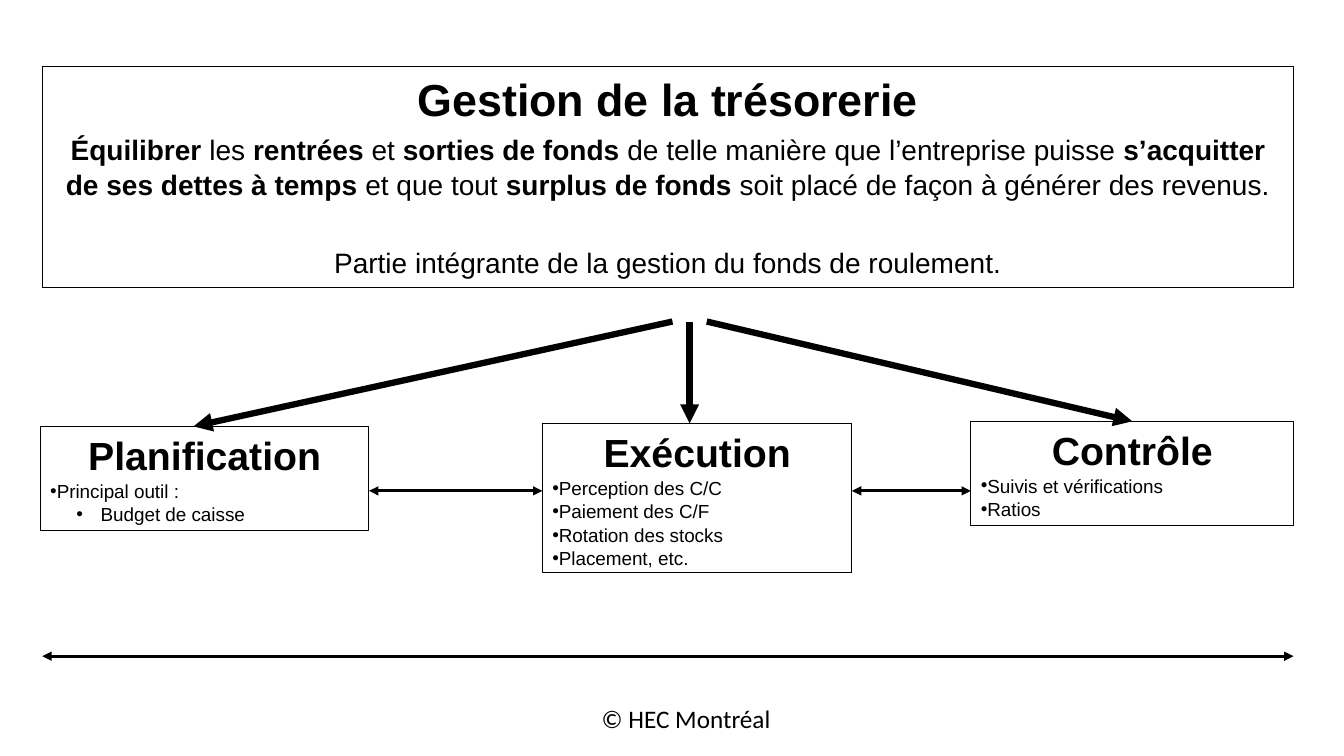
from pptx import Presentation
from pptx.dml.color import RGBColor
from pptx.enum.shapes import MSO_CONNECTOR, MSO_SHAPE
from pptx.enum.text import MSO_ANCHOR, PP_ALIGN
from pptx.oxml.ns import qn
from pptx.util import Inches, Pt
from lxml.etree import SubElement

BLACK = "000000"
LINE_SPACING = 1.04


def color(hex_code):
    return RGBColor.from_string(hex_code)


def set_font(p, size, bold=False, name="Arial"):
    for r in p.runs:
        r.font.name, r.font.size, r.font.bold = name, Pt(size), bold
        r.font.color.rgb = color(BLACK)


def add_bullet(p, level):
    pPr = p._p.get_or_add_pPr()
    if level:
        p.level = level
        pPr.set("marL", str(Inches(0.5)))
        pPr.set("indent", str(Inches(-0.24)))
    SubElement(pPr, qn("a:buFont")).set("typeface", "Arial")
    SubElement(pPr, qn("a:buChar")).set("char", "•")


def framed_box(slide, box, title, title_size):
    """Outlined rectangle with a centred bold heading."""
    s = slide.shapes.add_shape(MSO_SHAPE.RECTANGLE, *map(Inches, box))
    s.shadow.inherit = False
    s.fill.background()
    s.line.color.rgb = color(BLACK)
    s.line.width = Pt(0.75)
    tf = s.text_frame
    tf.word_wrap = True
    tf.vertical_anchor = MSO_ANCHOR.TOP
    p = tf.paragraphs[0]
    p.text = title
    p.alignment = PP_ALIGN.CENTER
    set_font(p, title_size, bold=True)
    return s


def definition_box(slide, box, title, paragraphs):
    """Main box: each paragraph is (space before, [(text, bold), ...])."""
    tf = framed_box(slide, box, title, 32).text_frame
    for space, parts in paragraphs:
        p = tf.add_paragraph()
        p.alignment = PP_ALIGN.CENTER
        p.line_spacing = LINE_SPACING
        p.space_before = Pt(space)
        for text, _ in parts:
            p.add_run().text = text
        set_font(p, 20)
        for r, (_, bold) in zip(p.runs, parts):
            r.font.bold = bold


def step_box(slide, box, title, items):
    """Step of the process: each item is (level, text)."""
    s = framed_box(slide, box, title, 28)
    for level, text in items:
        p = s.text_frame.add_paragraph()
        p.text = text
        p.alignment = PP_ALIGN.LEFT
        p.line_spacing = LINE_SPACING
        add_bullet(p, level)
        set_font(p, 13.5)
    return s


def arrow(slide, start, end, width, both_ends=False):
    c = slide.shapes.add_connector(MSO_CONNECTOR.STRAIGHT, *map(Inches, start + end))
    c.line.color.rgb = color(BLACK)
    c.line.width = Pt(width)
    ln = c.line._get_or_add_ln()
    for tag in ("a:headEnd", "a:tailEnd") if both_ends else ("a:tailEnd",):
        SubElement(ln, qn(tag)).set("type", "triangle")
    SubElement(c._element.spPr, qn("a:effectLst"))
    return c


def copyright_line(slide, box, text):
    tf = slide.shapes.add_textbox(*map(Inches, box)).text_frame
    tf.word_wrap = True
    tf.text = text
    set_font(tf.paragraphs[0], 18, name="Calibri")


def treasury_slide(prs):
    slide = prs.slides.add_slide(prs.slide_layouts[6])

    # Definition at the top
    definition_box(slide, (0.42, 0.66, 12.41, 2.19), "Gestion de la trésorerie", [
        (4, [("Équilibrer ", True), ("les", False), (" rentrées", True),
             (" et ", False), ("sorties de fonds", True),
             (" de telle manière que l’entreprise puisse", False),
             (" s’acquitter de ses dettes à temps", True),
             (" et que tout ", False), ("surplus de fonds", True),
             (" soit placé de façon à générer des revenus.", False)]),
        (31, [("Partie intégrante de la gestion du fonds de roulement.", False)]),
    ])

    # Three steps
    step_box(slide, (0.4, 4.23, 3.26, 1.03), "Planification",
             [(0, "Principal outil :"), (1, "Budget de caisse")])
    step_box(slide, (5.38, 4.2, 3.07, 1.48), "Exécution",
             [(0, "Perception des C/C"), (0, "Paiement des C/F"),
              (0, "Rotation des stocks"), (0, "Placement, etc.")])
    control = step_box(slide, (9.63, 4.18, 3.2, 1.03), "Contrôle",
                       [(0, "Suivis et vérifications"), (0, "Ratios")])

    # Arrows from the definition to the steps
    arrow(slide, (6.67, 3.19), (1.92, 4.23), 4.5)
    arrow(slide, (6.84, 3.19), (6.84, 4.2), 4.5)
    arrow(slide, (7.01, 3.19), (11.23, 4.18), 4.5).end_connect(control, 0)

    # Two-way arrows between the steps and across the bottom
    for left, right, y in ((3.66, 5.38, 4.87), (8.45, 9.63, 4.87), (0.42, 12.83, 6.51)):
        arrow(slide, (left, y), (right, y), 2.25, both_ends=True)

    copyright_line(slide, (5.87, 6.93, 1.94, 0.4), "© HEC Montréal")


def main():
    prs = Presentation()
    prs.slide_width, prs.slide_height = Inches(13.33), Inches(7.5)
    treasury_slide(prs)
    prs.save("out.pptx")


if __name__ == "__main__":
    main()
